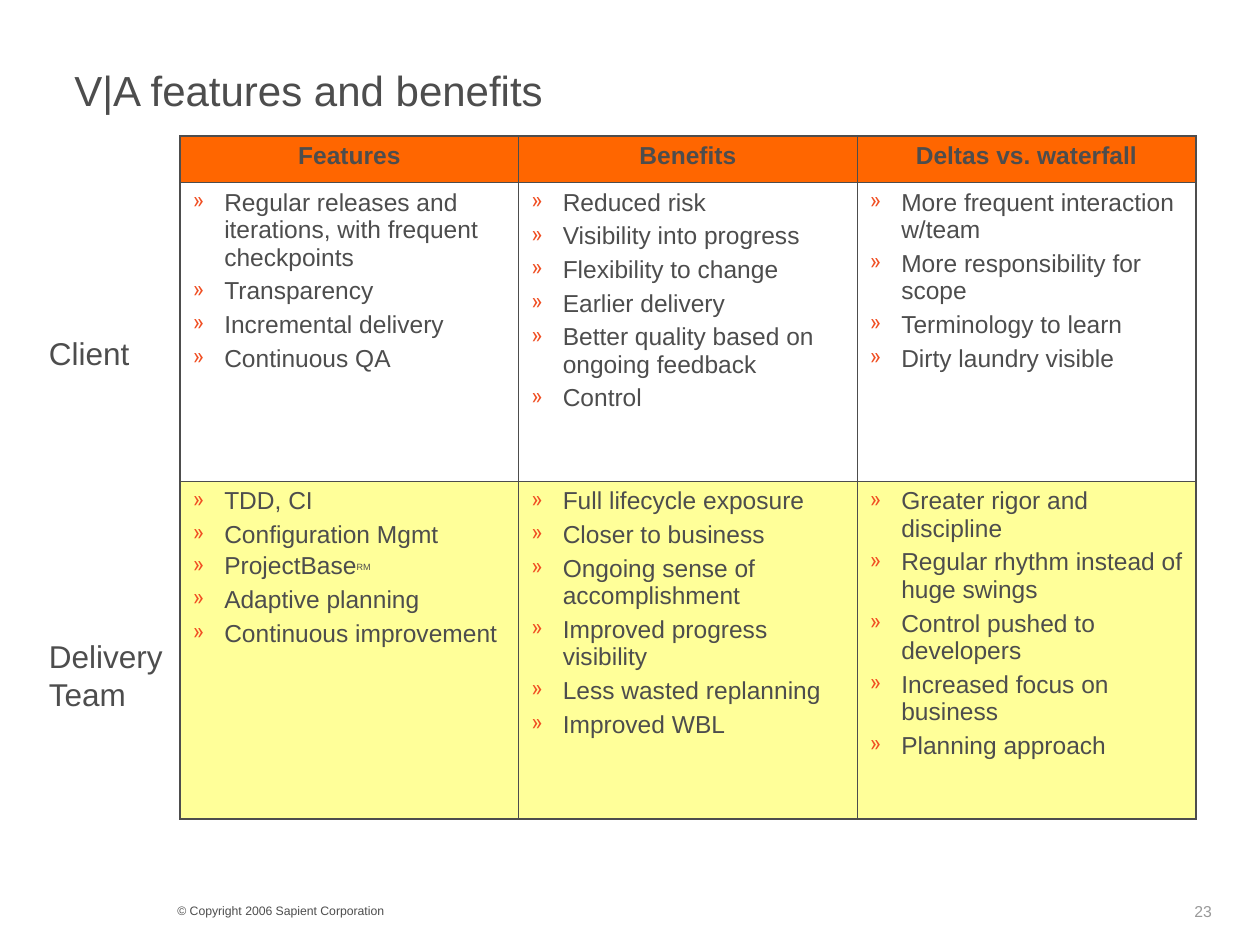
from lxml import etree
from pptx import Presentation
from pptx import util as u
from pptx.dml.color import RGBColor
from pptx.enum import text
from pptx.oxml import ns

GREY = RGBColor(0x4D, 0x4D, 0x4D)
PALE_GREY = RGBColor(0x99, 0x99, 0x99)
ORANGE = RGBColor(0xFF, 0x66, 0x00)
YELLOW = RGBColor(0xFF, 0xFF, 0x99)
BULLET = RGBColor(0xF0, 0x4E, 0x22)

TITLE = "V|A features and benefits"
HEADERS = ["Features", "Benefits", "Deltas vs. waterfall"]
MARKED = ("ProjectBase", "RM")
CLIENT = [
    ["Regular releases and iterations, with frequent checkpoints",
     "Transparency", "Incremental delivery", "Continuous QA"],
    ["Reduced risk", "Visibility into progress", "Flexibility to change",
     "Earlier delivery", "Better quality based on ongoing feedback", "Control"],
    ["More frequent interaction w/team", "More responsibility for scope",
     "Terminology to learn", "Dirty laundry visible"],
]
TEAM = [
    ["TDD, CI", "Configuration Mgmt", MARKED, "Adaptive planning",
     "Continuous improvement"],
    ["Full lifecycle exposure", "Closer to business",
     "Ongoing sense of accomplishment", "Improved progress visibility",
     "Less wasted replanning", "Improved WBL"],
    ["Greater rigor and discipline", "Regular rhythm instead of huge swings",
     "Control pushed to developers", "Increased focus on business",
     "Planning approach"],
]
ROWS = [(0.37, ORANGE, [[h] for h in HEADERS]),
        (2.37, None, CLIENT),
        (2.68, YELLOW, TEAM)]
LABELS = [
    ("Client", (0.29, 2.6, 1.56, 0.4), 18, GREY, True),
    ("Delivery Team", (0.29, 5.01, 1.56, 0.7), 18, GREY, True),
    ("© Copyright 2006 Sapient Corporation", (1.31, 7.12, 4, 0.22), 7, GREY, True),
    ("23", (9.38, 7.11, 0.75, 0.24), 9, PALE_GREY, False),
]
TABLE_LEFT, TABLE_TOP, TABLE_WIDTH = 1.43, 1.08, 8.06
OUTER, INNER = 1.08, 0.45


def add_run(p, words, size, color=GREY, bold=False):
    r = p.add_run()
    r.text = words
    r.font.name = "Arial"
    r.font.size = u.Pt(size)
    r.font.bold = bold
    r.font.color.rgb = color
    return r


def add_child(parent, tag, **attrs):
    child = etree.SubElement(parent, ns.qn(tag))
    for key, value in attrs.items():
        child.set(key, str(value))
    return child


def add_bullet(p):
    pPr = p._p.get_or_add_pPr()
    pPr.set("marL", str(u.Inches(0.25)))
    pPr.set("indent", str(-u.Inches(0.25)))
    add_child(add_child(pPr, "a:buClr"), "a:srgbClr", val=BULLET)
    add_child(pPr, "a:buSzPct", val=85000)
    add_child(pPr, "a:buChar", char="»")


def set_borders(cell, widths):
    tcPr = cell._tc.get_or_add_tcPr()
    for i, (side, width) in enumerate(widths):
        ln = add_child(tcPr, f"a:ln{side}", w=u.Pt(width))
        add_child(add_child(ln, "a:solidFill"), "a:srgbClr", val=GREY)
        tcPr.insert(i, ln)


def fill_cell(cell, items, header):
    tf = cell.text_frame
    for i, item in enumerate(items):
        p = tf.paragraphs[0] if i == 0 else tf.add_paragraph()
        if header:
            p.alignment = text.PP_ALIGN.CENTER
        else:
            add_bullet(p)
        marked = isinstance(item, tuple)
        if i:
            p.space_before = u.Pt(2.2 if marked else 3.5)
        add_run(p, item[0] if marked else item, 14, bold=header)
        if marked:
            mark = add_run(p, item[1], 9)
            mark.font._element.set("baseline", "30000")


def add_grid(slide):
    n_rows, n_cols = len(ROWS), len(HEADERS)
    frame = slide.shapes.add_table(
        n_rows, n_cols, u.Inches(TABLE_LEFT), u.Inches(TABLE_TOP),
        u.Inches(TABLE_WIDTH), u.Inches(sum(row[0] for row in ROWS)))
    table = frame.table
    table.first_row = table.horz_banding = False
    for col in table.columns:
        col.width = u.Inches(TABLE_WIDTH / n_cols)
    for i, (height, color, columns) in enumerate(ROWS):
        table.rows[i].height = u.Inches(height)
        for j, items in enumerate(columns):
            cell = table.cell(i, j)
            fill_cell(cell, items, i == 0)
            if color is None:
                cell.fill.background()
            else:
                cell.fill.solid()
                cell.fill.fore_color.rgb = color
            edges = [("L", j == 0), ("R", j == n_cols - 1),
                     ("T", i == 0), ("B", i == n_rows - 1)]
            set_borders(cell, [(side, OUTER if edge else INNER)
                               for side, edge in edges])


def main():
    prs = Presentation()
    prs.slide_width, prs.slide_height = u.Inches(10), u.Inches(7.5)
    slide = prs.slides.add_slide(prs.slide_layouts[5])

    title = slide.shapes.title
    title.left, title.top = u.Inches(0.49), u.Inches(0.44)
    title.width, title.height = u.Inches(9.01), u.Inches(0.55)
    tf = title.text_frame
    tf.auto_size = text.MSO_AUTO_SIZE.NONE
    tf.vertical_anchor = text.MSO_ANCHOR.MIDDLE
    p = tf.paragraphs[0]
    p.alignment = text.PP_ALIGN.LEFT
    add_run(p, TITLE, 24)

    add_grid(slide)

    for words, box, size, color, wrap in LABELS:
        tf = slide.shapes.add_textbox(*map(u.Inches, box)).text_frame
        tf.word_wrap = wrap
        add_run(tf.paragraphs[0], words, size, color)

    prs.save("out.pptx")


if __name__ == "__main__":
    main()
